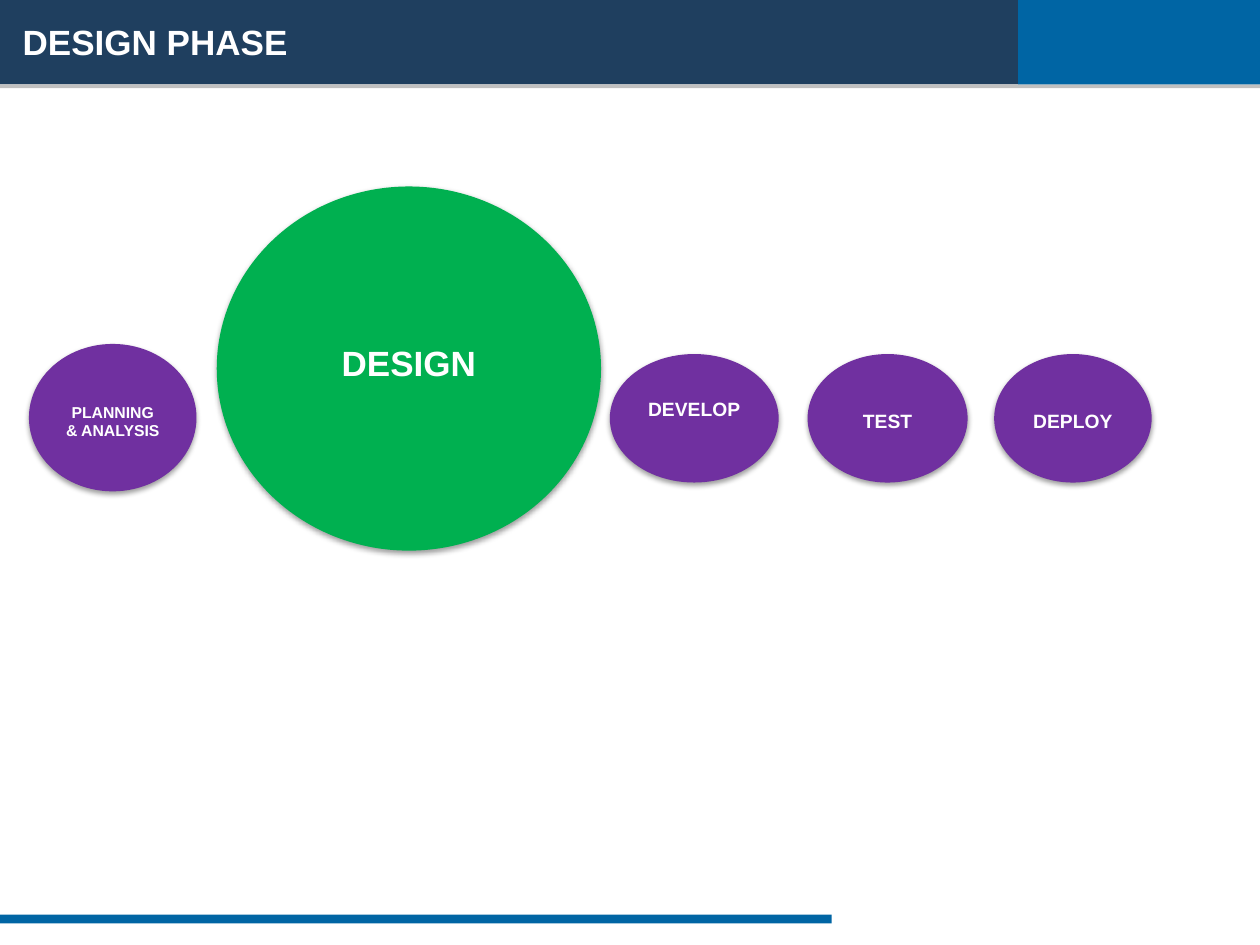
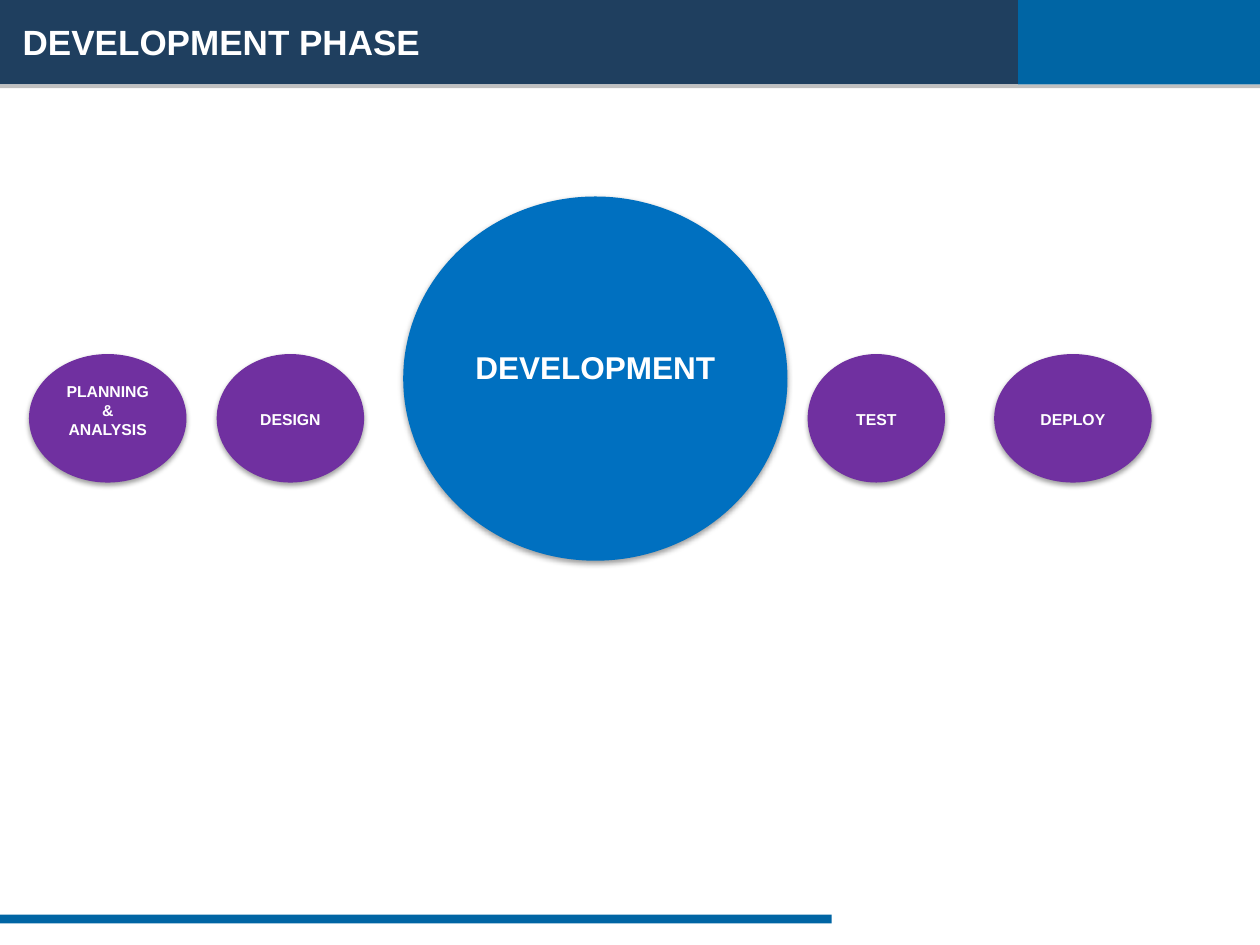
from lxml.etree import SubElement
from pptx import Presentation
from pptx.dml.color import RGBColor
from pptx.enum.shapes import MSO_SHAPE as Shape
from pptx.enum.text import MSO_ANCHOR as Anchor, MSO_AUTO_SIZE as AutoSize, PP_ALIGN as Align
from pptx.oxml.ns import qn
from pptx.util import Inches, Pt

COLUMNS, ROWS = 100, 75
TITLE_ONLY = 5
NAVY, BLUE, SILVER, WHITE = "1F3F5F", "0065A4", "C0C0C0", "FFFFFF"
PURPLE, GREEN, AZURE = "7030A0", "00B050", "0070C0"

BANDS = [
    (0, 0, 80.8, 6.7, NAVY),
    (0, 6.7, 100, 0.3, SILVER),
    (80.8, 0, 19.2, 6.7, BLUE),
    (0, 72.6, 66, 0.7, BLUE),
]
TITLE_AREA = (0.8, 0.8, 78.3, 5)
SMALL = (28.1, 10.2)
LARGE = (30.5, 28.9)

PHASES = {
    "DESIGN PHASE": [
        ("DEPLOY", 78.9, 12.5, SMALL, PURPLE, 11, 21),
        ("TEST", 64.1, 12.7, SMALL, PURPLE, 11, 21),
        ("DEVELOP", 48.4, 13.4, SMALL, PURPLE, 11, 14),
        ("PLANNING & ANALYSIS", 2.3, 13.3, (27.3, 11.7), PURPLE, 9, 21),
        ("DESIGN", 17.2, LARGE[0], (14.8, LARGE[1]), GREEN, 20, 58),
    ],
    "DEVELOPMENT PHASE": [
        ("DEPLOY", 78.9, 12.5, SMALL, PURPLE, 9, 21),
        ("TEST", 64.1, 10.9, SMALL, PURPLE, 9, 21),
        ("PLANNING & ANALYSIS", 2.3, 12.5, SMALL, PURPLE, 9, 5),
        ("DESIGN", 17.2, 11.7, SMALL, PURPLE, 9, 21),
        ("DEVELOPMENT", 32, LARGE[0], (15.6, LARGE[1]), AZURE, 18, 56),
    ],
}


def color(value):
    return RGBColor.from_string(value)


def assign(target, values):
    for name, value in values.items():
        setattr(target, name, value)


class PhaseDeck:
    """Hold the deck style and the current slide, and draw each kind of element."""

    def __init__(self):
        self.deck = Presentation()
        assign(self.deck, {"slide_width": Inches(10), "slide_height": Inches(7.5)})
        self.layout = self.deck.slide_layouts[TITLE_ONLY]
        names = ("left", "top", "width", "height")
        assign(self.layout.placeholders[0], dict(zip(names, self.place(*TITLE_AREA))))
        self.page = None

    def place(self, left, top, width, height):
        column = self.deck.slide_width / COLUMNS
        row = self.deck.slide_height / ROWS
        return [round(n) for n in (left * column, top * row, width * column, height * row)]

    def add_page(self, title):
        first = self.page is None
        self.page = self.deck.slides.add_slide(self.layout)
        if first:
            self.add_master_bands()
        frame = self.page.shapes.title.text_frame
        assign(frame, {"auto_size": AutoSize.NONE, "vertical_anchor": Anchor.MIDDLE})
        self.add_text(frame, title, 20, Align.LEFT)

    def add_master_bands(self):
        tree = self.deck.slide_master.shapes.element
        for position, (*area, fill) in enumerate(BANDS, start=2):
            band = self.add_shape(Shape.RECTANGLE, area, fill)
            tree.insert(position, band.element)

    def add_shape(self, kind, area, fill):
        box = self.page.shapes.add_shape(kind, *self.place(*area))
        box.shadow.inherit = False
        box.fill.solid()
        box.fill.fore_color.rgb = color(fill)
        box.line.fill.background()
        return box

    def add_phase(self, label, left, width, vertical, fill, size, inset):
        top, height = vertical
        box = self.add_shape(Shape.OVAL, (left, top, width, height), fill)
        self.add_shadow(box)
        frame = box.text_frame
        assign(frame, {"word_wrap": True, "vertical_anchor": Anchor.TOP,
                       "margin_top": Pt(inset)})
        self.add_text(frame, label, size, Align.CENTER)

    def add_shadow(self, box):
        effects = box.element.spPr.find(qn("a:effectLst"))
        shadow = SubElement(effects, qn("a:outerShdw"), blurRad=str(Pt(3.1)),
                            dist=str(Pt(1.6)), dir="5400000", rotWithShape="0")
        tint = SubElement(shadow, qn("a:srgbClr"), val="000000")
        SubElement(tint, qn("a:alpha"), val="38000")

    def add_text(self, frame, text, size, alignment):
        para = frame.paragraphs[0]
        para.alignment = alignment
        span = para.add_run()
        span.text = text
        assign(span.font, {"name": "Arial", "size": Pt(size), "bold": True})
        span.font.color.rgb = color(WHITE)


def main():
    phases = PhaseDeck()
    for title, circles in PHASES.items():
        phases.add_page(title)
        for circle in circles:
            phases.add_phase(*circle)
    phases.deck.save("out.pptx")


if __name__ == "__main__":
    main()
